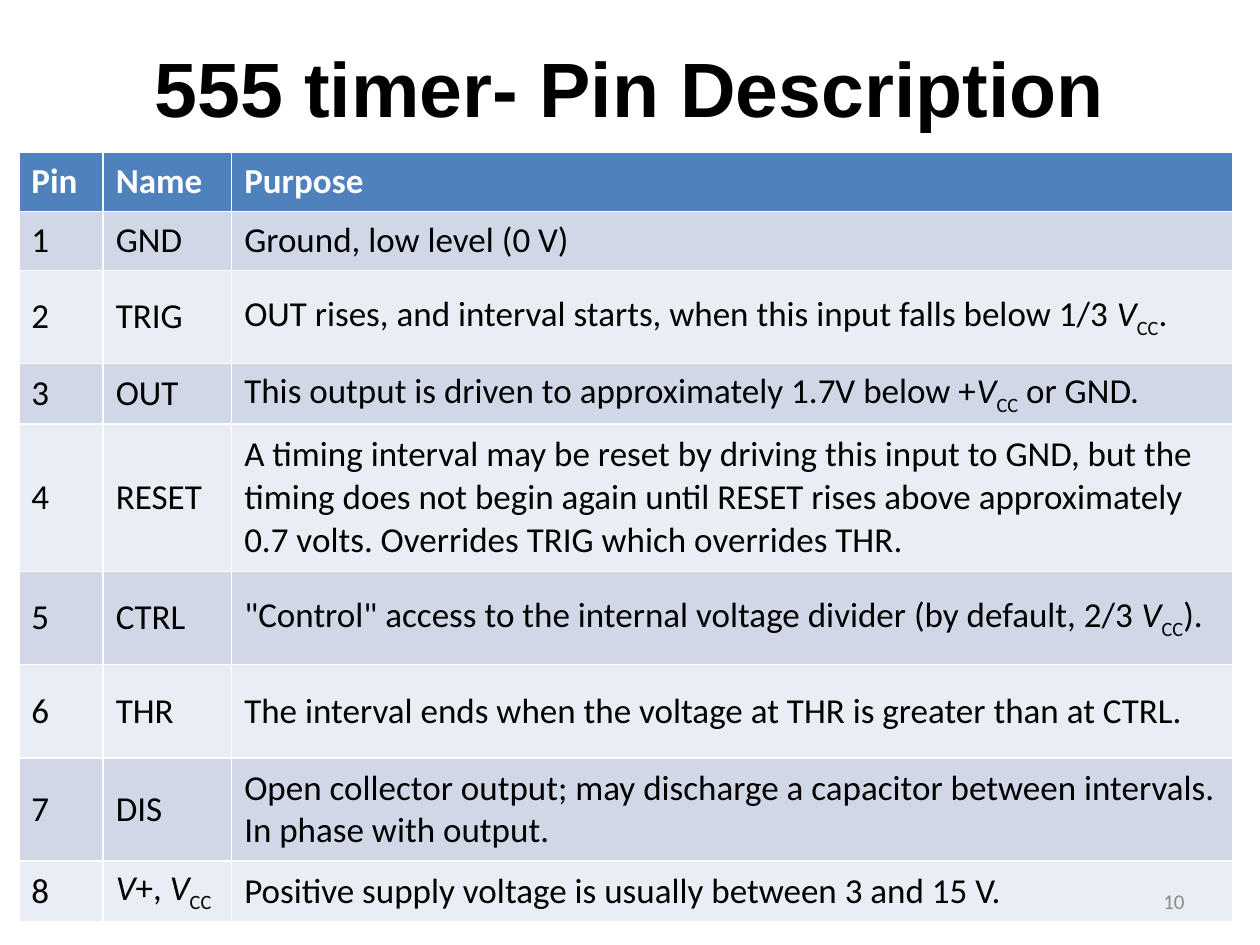
from dataclasses import dataclass

from pptx import Presentation
from pptx import util as u
from pptx.dml.color import RGBColor
from pptx.enum import text


@dataclass(frozen=True)
class Theme:
    title_font: str = "Arial"
    body_font: str = "Calibri"
    title_size: int = 44
    body_size: int = 20
    number_size: int = 12
    black: str = "000000"
    white: str = "FFFFFF"
    gray: str = "8C8C8C"
    header: str = "4F81BD"
    bands: tuple = ("E9EDF4", "D0D8E8")


theme = Theme()

# "|" separates runs: a run "V" is italic, a run "CC" is a subscript.
PINS = [
    ("Pin", "Name", "Purpose"),
    ("1", "GND", "Ground, low level (0 V)"),
    ("2", "TRIG", "OUT rises, and interval starts, when this input falls below 1/3 |V|CC|."),
    ("3", "OUT", "This output is driven to approximately 1.7V below +|V|CC| or GND."),
    ("4", "RESET", "A timing interval may be reset by driving this input to GND, "
                   "but the timing does not begin again until RESET rises above "
                   "approximately 0.7 volts. Overrides TRIG which overrides THR."),
    ("5", "CTRL", '"Control" access to the internal voltage divider (by default, 2/3 |V|CC|).'),
    ("6", "THR", "The interval ends when the voltage at THR is greater than at CTRL."),
    ("7", "DIS", "Open collector output; may discharge a capacitor between intervals. "
                 "In phase with output."),
    ("8", "V|+, |V|CC", "Positive supply voltage is usually between 3 and 15 V."),
]
COLUMN_WIDTHS = [1.7, 2.59, 20.19]
ROW_HEIGHTS = [1.19, 1.19, 1.88, 1.19, 2.97, 1.88, 1.88, 2.08, 1.19]


def write_runs(paragraph, content, color, **font_format):
    """Fill a paragraph from marked-up content, styling the V and CC runs."""
    for part in content.split("|"):
        run = paragraph.add_run()
        run.text = part
        run.font.color.rgb = RGBColor.from_string(color)
        for name, value in font_format.items():
            setattr(run.font, name, value)
        if part == "V":
            run.font.italic = True
        elif part == "CC":
            run._r.get_or_add_rPr().set("baseline", "-25000")


def add_label(slide, box, content, alignment, color, **font_format):
    frame = slide.shapes.add_textbox(*map(u.Cm, box)).text_frame
    frame.word_wrap = True
    frame.vertical_anchor = text.MSO_ANCHOR.MIDDLE
    paragraph = frame.paragraphs[0]
    paragraph.alignment = alignment
    write_runs(paragraph, content, color, **font_format)


presentation = Presentation()
presentation.slide_width, presentation.slide_height = u.Cm(25.4), u.Cm(19.05)
slide = presentation.slides.add_slide(presentation.slide_layouts[6])

add_label(slide, (1.27, 0.76, 22.86, 1.96), "555 timer- Pin Description",
          text.PP_ALIGN.CENTER, theme.black,
          name=theme.title_font, size=u.Pt(theme.title_size), bold=True)

table = slide.shapes.add_table(
    len(PINS), len(COLUMN_WIDTHS), u.Cm(0.38), u.Cm(3.07),
    u.Cm(sum(COLUMN_WIDTHS)), u.Cm(sum(ROW_HEIGHTS))).table
for column, width in zip(table.columns, COLUMN_WIDTHS):
    column.width = u.Cm(width)

for index, (row, height, contents) in enumerate(zip(table.rows, ROW_HEIGHTS, PINS)):
    row.height = u.Cm(height)
    is_header = index == 0
    fill = theme.header if is_header else theme.bands[index % 2]
    for cell, content in zip(row.cells, contents):
        cell.vertical_anchor = text.MSO_ANCHOR.MIDDLE
        cell.fill.solid()
        cell.fill.fore_color.rgb = RGBColor.from_string(fill)
        write_runs(cell.text_frame.paragraphs[0], content,
                   theme.white if is_header else theme.black,
                   name=theme.body_font, size=u.Pt(theme.body_size), bold=is_header)

add_label(slide, (18.21, 17.65, 5.92, 1.02), "10",
          text.PP_ALIGN.RIGHT, theme.gray,
          name=theme.body_font, size=u.Pt(theme.number_size))

presentation.save("out.pptx")
